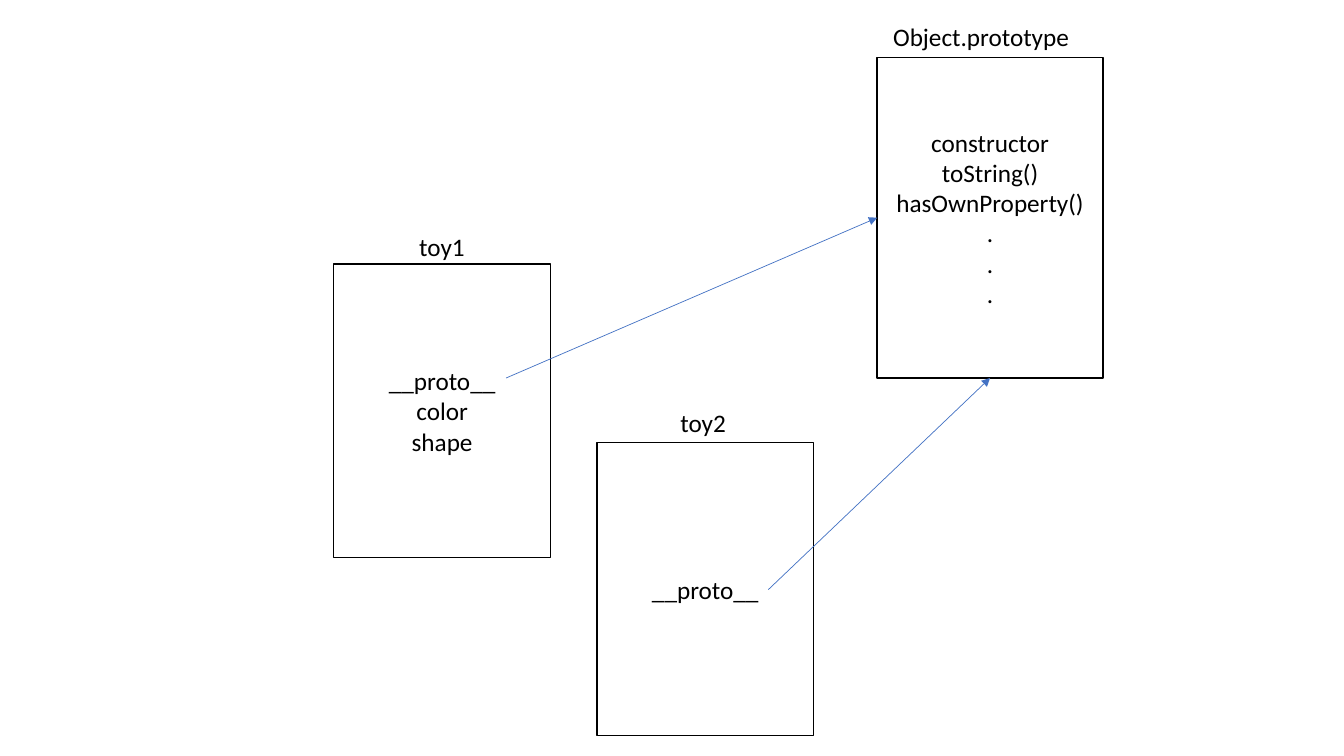
"""Draw two toy objects whose __proto__ links point to Object.prototype."""
from lxml import etree
from pptx import Presentation
from pptx import util as u
from pptx.dml.color import RGBColor
from pptx.enum import shapes, text
from pptx.oxml.ns import qn

PX = u.Inches(1) // 100
COLORS = {"ink": "000000", "paper": "FFFFFF", "link": "4472C4"}
FONT = "Calibri"


def px(*lengths):
    """Turn px lengths into EMU."""
    return [length * PX for length in lengths]


def color(name):
    """Look up a named colour."""
    return RGBColor.from_string(COLORS[name])


def write(frame, lines, align=text.PP_ALIGN.LEFT, size=18, ink="ink"):
    """Write one paragraph per line into a text frame."""
    for index, line in enumerate(lines):
        para = frame.paragraphs[0] if index == 0 else frame.add_paragraph()
        para.alignment = align
        span = para.add_run()
        span.text = line
        span.font.name = FONT
        span.font.size = u.Pt(size)
        span.font.color.rgb = color(ink)


def add_label(page, name, left, top, width):
    """Add an object's name as a single-line text box."""
    frame = page.shapes.add_textbox(*px(left, top, width, 40)).text_frame
    frame.word_wrap = False
    frame.auto_size = text.MSO_AUTO_SIZE.SHAPE_TO_FIT_TEXT
    write(frame, [name])


def add_object(page, members, left, top, width, height):
    """Add an outlined box that lists an object's members."""
    box = page.shapes.add_shape(
        shapes.MSO_SHAPE.RECTANGLE, *px(left, top, width, height))
    box.shadow.inherit = False
    box.fill.solid()
    box.fill.fore_color.rgb = color("paper")
    box.line.color.rgb = color("ink")
    box.line.width = u.Pt(1)
    box.text_frame.vertical_anchor = text.MSO_ANCHOR.MIDDLE
    write(box.text_frame, members, align=text.PP_ALIGN.CENTER)


def add_link(page, start, end):
    """Add a thin arrow between two points."""
    link = page.shapes.add_connector(
        shapes.MSO_CONNECTOR.STRAIGHT, *px(*start, *end))
    link.line.color.rgb = color("link")
    link.line.width = u.Pt(0.5)
    outline = link.line._get_or_add_ln()
    etree.SubElement(outline, qn("a:tailEnd"), type="triangle")
    etree.SubElement(link._element.spPr, qn("a:effectLst"))


def main():
    """Build and save the deck."""
    deck = Presentation()
    deck.slide_width, deck.slide_height = px(1333, 750)
    page = deck.slides.add_slide(deck.slide_layouts[6])

    toy_size = 215, 291
    add_object(page, ["__proto__", "color", "shape"], 331, 262, *toy_size)
    add_label(page, "toy1", 406, 225, 66)

    methods = ["constructor", "toString()", "hasOwnProperty()"]
    add_object(page, methods + ["."] * 3, 870, 57, 224, 318)
    add_link(page, (502, 375), (870, 216))
    add_label(page, "Object.prototype", 876, 16, 196)

    add_object(page, ["__proto__"], 592, 439, *toy_size)
    add_link(page, (762, 585), (982, 375))
    add_label(page, "toy2", 665, 399, 66)

    deck.save("out.pptx")


if __name__ == "__main__":
    main()
